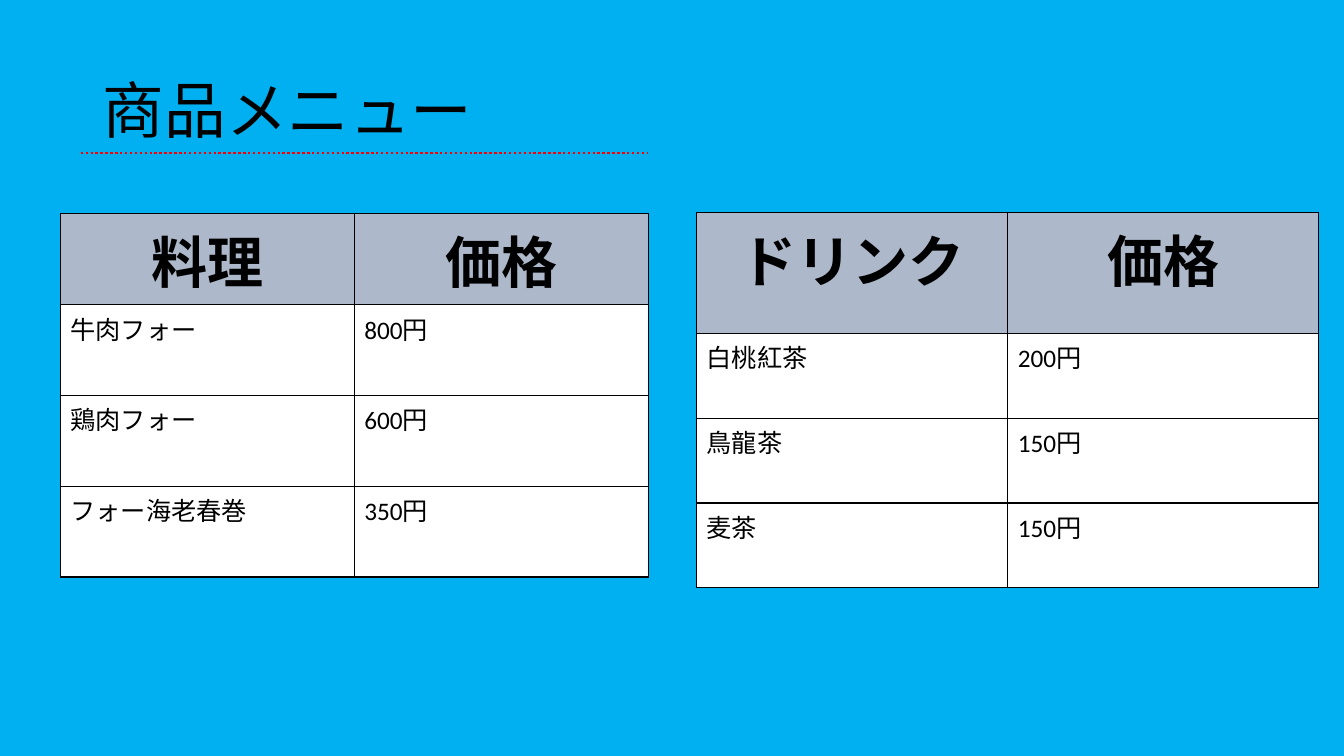
from pptx import Presentation
from pptx.dml.color import RGBColor
from pptx.enum.dml import MSO_LINE_DASH_STYLE as Dash
from pptx.enum.shapes import MSO_CONNECTOR as Conn
from pptx.enum.text import MSO_ANCHOR as Anchor, PP_ALIGN as Align
from pptx.oxml import parse_xml
from pptx.oxml.ns import nsdecls
from pptx.util import Inches, Pt

SKY = RGBColor(0x00, 0xB0, 0xF0)
BLACK = RGBColor(0x00, 0x00, 0x00)
WHITE = RGBColor(0xFF, 0xFF, 0xFF)
RED = RGBColor(0xFF, 0x00, 0x00)
STEEL = RGBColor(0xAD, 0xB9, 0xCA)
KANJI = "Noto Sans CJK JP"
LATIN = "Calibri"

FOOD = [
    ("料理", "価格"),
    ("牛肉フォー", "800円"),
    ("鶏肉フォー", "600円"),
    ("フォー海老春巻", "350円"),
]
DRINKS = [
    ("ドリンク", "価格"),
    ("白桃紅茶", "200円"),
    ("鳥龍茶", "150円"),
    ("麦茶", "150円"),
]


class Menu:
    def __init__(self, deck):
        self.slide = deck.slides.add_slide(deck.slide_layouts[5])
        fill = self.slide.background.fill
        fill.solid()
        fill.fore_color.rgb = SKY

    def add_text(self, para, text, size, face, bold=False):
        run = para.add_run()
        run.text = text
        font = run.font
        font.size, font.bold, font.name = Pt(size), bold, face
        font.color.rgb = BLACK
        latin = font._element.find(".//{*}latin")
        latin.addnext(parse_xml(f'<a:ea {nsdecls("a")} typeface="{KANJI}"/>'))

    def title(self, text, left, top, width, height):
        shape = self.slide.shapes.title
        shape.left, shape.top = Inches(left), Inches(top)
        shape.width, shape.height = Inches(width), Inches(height)
        frame = shape.text_frame
        frame.vertical_anchor = Anchor.MIDDLE
        para = frame.paragraphs[0]
        para.alignment = Align.LEFT
        para.line_spacing = 0.9
        self.add_text(para, text, 44, KANJI)

    def rule(self, left, right, y):
        line = self.slide.shapes.add_connector(
            Conn.STRAIGHT, Inches(left), Inches(y), Inches(right), Inches(y))
        line.line.color.rgb = RED
        line.line.width = Pt(1.75)
        line.line.dash_style = Dash.ROUND_DOT
        line._element.spPr.append(parse_xml(f'<a:effectLst {nsdecls("a")}/>'))

    def border(self, cell):
        """Draw a thin black line on all four sides of a cell."""
        props = cell._tc.get_or_add_tcPr()
        for spot, side in enumerate("LRTB"):
            props.insert(spot, parse_xml(
                f'<a:ln{side} {nsdecls("a")} w="{Pt(1)}"><a:solidFill>'
                f'<a:srgbClr val="{BLACK}"/></a:solidFill></a:ln{side}>'))

    def table(self, rows, left, top, width, head, body):
        """Add a price table; head and body are row heights in inches."""
        high = head + body * (len(rows) - 1)
        count = len(rows[0])
        grid = self.slide.shapes.add_table(
            len(rows), count, Inches(left), Inches(top),
            Inches(width), Inches(high)).table
        for col in grid.columns:
            col.width = Inches(width / count)
        for r, texts in enumerate(rows):
            first = r == 0
            grid.rows[r].height = Inches(head if first else body)
            for c, text in enumerate(texts):
                cell = grid.cell(r, c)
                cell.fill.solid()
                cell.fill.fore_color.rgb = STEEL if first else WHITE
                self.border(cell)
                para = cell.text_frame.paragraphs[0]
                if first:
                    para.alignment = Align.CENTER
                    self.add_text(para, text, 40, KANJI, True)
                else:
                    self.add_text(para, text, 18, LATIN)


def main():
    deck = Presentation()
    deck.slide_width, deck.slide_height = Inches(13.33), Inches(7.5)
    menu = Menu(deck)
    menu.title("商品メニュー", 0.92, 0.4, 11.5, 1.45)
    menu.table(FOOD, 0.6, 2.12, 5.83, 0.9, 0.9)
    menu.rule(0.8, 6.43, 1.52)
    menu.table(DRINKS, 6.91, 2.11, 6.17, 1.2, 0.84)
    deck.save("out.pptx")


if __name__ == "__main__":
    main()
